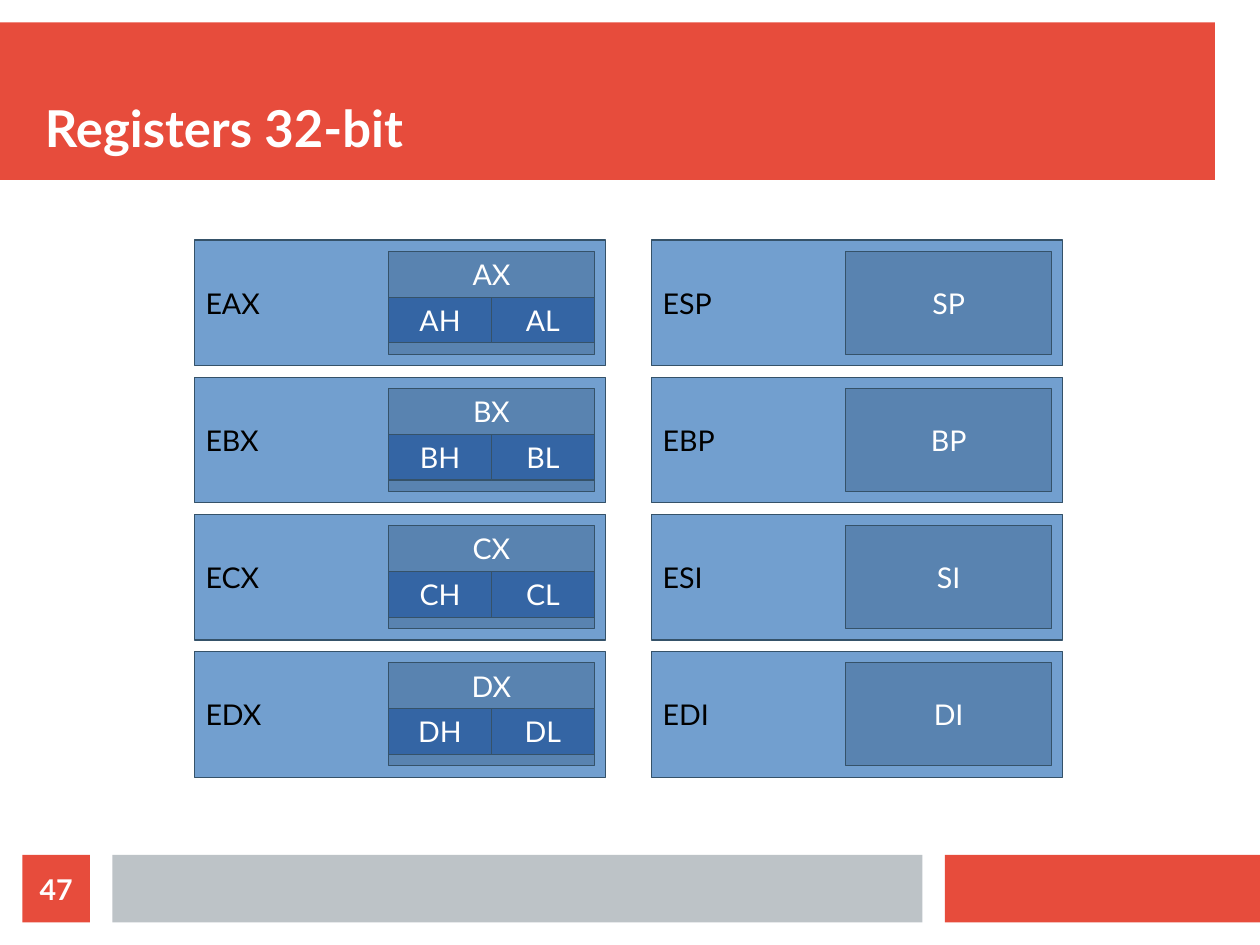
from dataclasses import dataclass

from pptx import Presentation
from pptx.dml.color import RGBColor
from pptx.enum.shapes import MSO_SHAPE as SHAPE
from pptx.enum.text import MSO_ANCHOR as ANCHOR, PP_ALIGN as ALIGN
from pptx.util import Cm, Inches, Pt


@dataclass(frozen=True)
class Theme:
    font: str = "Lato"
    title_size: int = 32
    body_size: int = 18
    accent: str = "E74C3C"
    footer: str = "BDC3C7"
    dword: str = "729FCF"
    word: str = "5983B0"
    byte: str = "3465A4"
    outline: str = "355269"
    light: str = "FFFFFF"
    dark: str = "000000"


THEME = Theme()

# Page frame
WIDTH, HEIGHT = Cm(28), Cm(21)
GAP = Cm(0.5)

# Register grid
GRID_LEFT, GRID_TOP = Inches(1.7), Inches(2.1)
COL_STEP, ROW_STEP = Inches(4), Inches(1.2)
REG_W, REG_H = Inches(3.6), Inches(1.1)
PAD, BYTE_H = Inches(0.1), Inches(0.4)

GENERAL = ["A", "B", "C", "D"]
POINTERS = ["SP", "BP", "SI", "DI"]


def add_text(sp, text, size=THEME.body_size, color=THEME.light, bold=False,
             align=ALIGN.CENTER, anchor=ANCHOR.MIDDLE, inset=(0.1, 0.05)):
    tf = sp.text_frame
    tf.word_wrap = True
    tf.vertical_anchor = anchor
    tf.margin_left = tf.margin_right = Inches(inset[0])
    tf.margin_top = tf.margin_bottom = Inches(inset[1])
    p = tf.paragraphs[0]
    p.alignment = align
    r = p.add_run()
    r.text = text
    r.font.name = THEME.font
    r.font.size = Pt(size)
    r.font.bold = bold
    r.font.color.rgb = RGBColor.from_string(color)


def add_box(s, x, y, w, h, fill, line=None):
    sp = s.shapes.add_shape(SHAPE.RECTANGLE, x, y, w, h)
    sp.shadow.inherit = False
    sp.fill.solid()
    sp.fill.fore_color.rgb = RGBColor.from_string(fill)
    if line:
        sp.line.color.rgb = RGBColor.from_string(line)
        sp.line.width = Pt(0)
    else:
        sp.line.fill.background()
    return sp


def add_header(s, x, y, w, h, title):
    add_box(s, x, y, w, h, THEME.accent)
    tb = s.shapes.add_textbox(x + 2 * GAP, y + GAP, w - 2 * GAP, h - 2 * GAP)
    add_text(tb, title, size=THEME.title_size, bold=True, align=ALIGN.LEFT,
             anchor=ANCHOR.BOTTOM, inset=(0, 0))


def add_footer(s, x, y, w, h, number):
    bar_x, bar_w = x + 2 * GAP + h, Cm(18)
    end_x = bar_x + bar_w + GAP
    add_box(s, end_x, y, x + w - end_x, h, THEME.accent)
    add_box(s, bar_x, y, bar_w, h, THEME.footer)
    badge = add_box(s, x + GAP, y, h, h, THEME.accent)
    add_text(badge, number, bold=True, inset=(0, 0))


def add_register(s, x, y, w, h, word, halves=()):
    # Full 32-bit register
    dword = add_box(s, x, y, w, h, THEME.dword, THEME.outline)
    add_text(dword, "E" + word, color=THEME.dark, align=ALIGN.LEFT)
    # Lower 16 bits
    word_w = w // 2
    word_x, word_y = x + w - PAD - word_w, y + PAD
    sp = add_box(s, word_x, word_y, word_w, h - 2 * PAD, THEME.word, THEME.outline)
    add_text(sp, word, anchor=ANCHOR.TOP if halves else ANCHOR.MIDDLE)
    # High and low bytes
    for i, half in enumerate(halves):
        byte_w = word_w // len(halves)
        sp = add_box(s, word_x + i * byte_w, word_y + BYTE_H, byte_w, BYTE_H,
                     THEME.byte, THEME.outline)
        add_text(sp, half)


def add_register_grid(s, x, y):
    for row, (letter, pointer) in enumerate(zip(GENERAL, POINTERS)):
        top = y + row * ROW_STEP
        add_register(s, x, top, REG_W, REG_H, letter + "X",
                     (letter + "H", letter + "L"))
        add_register(s, x + COL_STEP, top, REG_W, REG_H, pointer)


def main():
    prs = Presentation()
    prs.slide_width, prs.slide_height = WIDTH, HEIGHT
    s = prs.slides.add_slide(prs.slide_layouts[6])
    add_header(s, 0, GAP, WIDTH - 2 * GAP, Cm(3.5), "Registers 32-bit")
    add_register_grid(s, GRID_LEFT, GRID_TOP)
    add_footer(s, 0, Cm(19), WIDTH, Cm(1.5), "47")
    prs.save("out.pptx")


if __name__ == "__main__":
    main()
